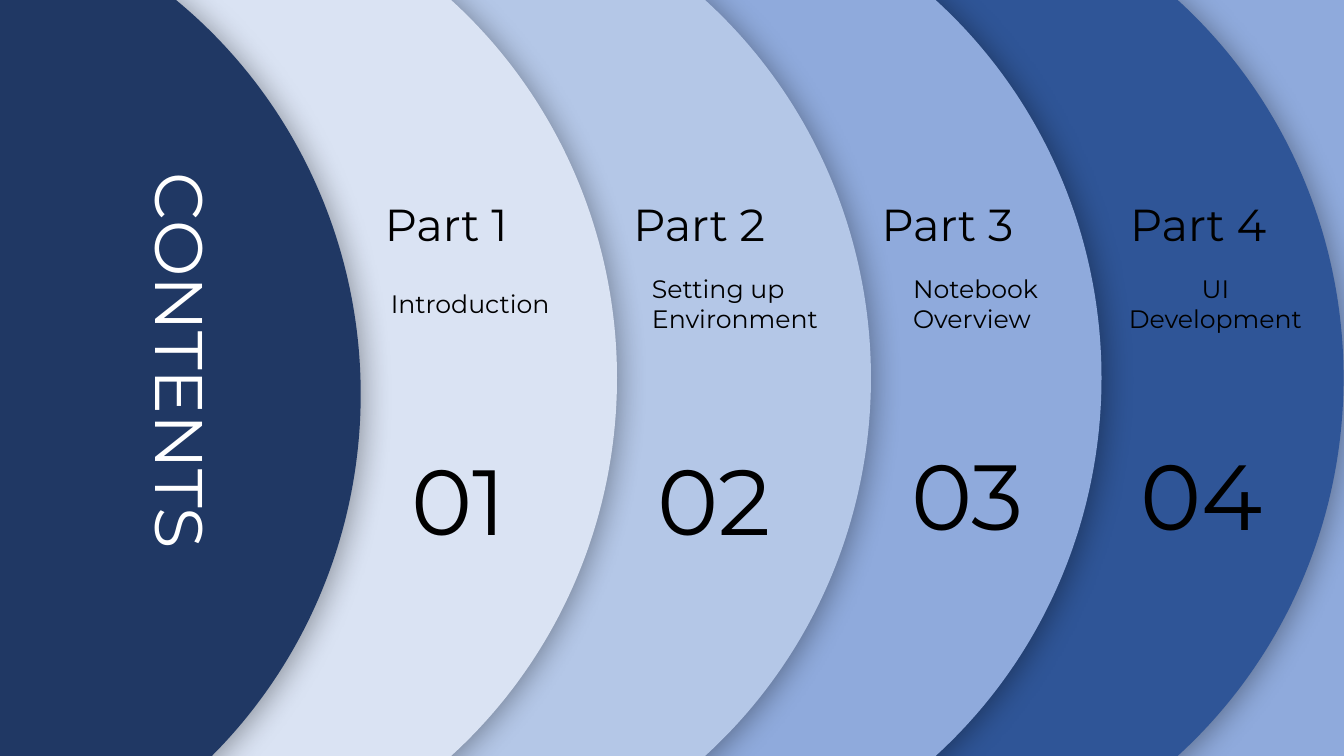
from lxml import etree
from pptx import Presentation
from pptx.dml.color import RGBColor
from pptx.enum.shapes import MSO_SHAPE
from pptx.enum.text import MSO_AUTO_SIZE, PP_ALIGN
from pptx.oxml.ns import qn
from pptx.util import Cm, Pt

COLORS = {
    "background": "8FAADC",
    "navy": "203864",
    "pale": "DAE3F3",
    "light": "B4C7E7",
    "medium": "8FAADC",
    "deep": "2F5597",
    "title": "FFFFFF",
    "text": "000000",
    "shadow": "000000",
}


def add_disc(slide, left, top, color):
    disc = slide.shapes.add_shape(MSO_SHAPE.OVAL, Cm(left), Cm(top), Cm(25.07), Cm(25.55))
    disc.fill.solid()
    disc.fill.fore_color.rgb = RGBColor.from_string(COLORS[color])
    disc.line.fill.background()
    disc.shadow.inherit = False
    effects = disc._element.spPr.find(qn("a:effectLst"))
    shadow = etree.SubElement(effects, qn("a:outerShdw"), blurRad=str(Pt(22)),
                              dist=str(Pt(3)), dir="2700000", algn="tl", rotWithShape="0")
    shade = etree.SubElement(shadow, qn("a:srgbClr"), val=COLORS["shadow"])
    etree.SubElement(shade, qn("a:alpha"), val="36000")


def add_label(slide, left, top, width, height, lines, size, color="text", align=PP_ALIGN.LEFT):
    label = slide.shapes.add_textbox(Cm(left), Cm(top), Cm(width), Cm(height))
    frame = label.text_frame
    frame.word_wrap = True
    frame.auto_size = MSO_AUTO_SIZE.SHAPE_TO_FIT_TEXT
    for index, line in enumerate(lines):
        paragraph = frame.add_paragraph() if index else frame.paragraphs[0]
        paragraph.alignment = align
        run = paragraph.add_run()
        run.text = line
        run.font.name = "Montserrat"
        run.font.size = Pt(size)
        run.font.color.rgb = RGBColor.from_string(COLORS[color])
    return label


presentation = Presentation()
presentation.slide_width = Cm(33.87)
presentation.slide_height = Cm(19.05)
slide = presentation.slides.add_slide(presentation.slide_layouts[6])
slide.background.fill.solid()
slide.background.fill.fore_color.rgb = RGBColor.from_string(COLORS["background"])

for left, top, color in [
    (8.79, -3.25, "deep"),
    (2.69, -3.25, "medium"),
    (-3.12, -3.25, "light"),
    (-9.52, -3.25, "pale"),
    (-15.98, -2.84, "navy"),
]:
    add_disc(slide, left, top, color)

contents = add_label(slide, -1.27, 8.79, 11.68, 2.31, ["CONTENTS"], 48, "title")
contents.rotation = 90

parts = [
    (["Introduction"], 9.6, 7.14, 4.65, PP_ALIGN.LEFT, 10.11, 11.05, 3.15),
    (["Setting up", "Environment"], 16.18, 6.76, 4.85, PP_ALIGN.LEFT, 16.31, 11.05, 3.63),
    (["Notebook", "Overview"], 22.76, 6.76, 3.99, PP_ALIGN.LEFT, 22.71, 10.92, 3.58),
    (["UI", "Development"], 28.09, 6.76, 5.08, PP_ALIGN.CENTER, 28.5, 10.92, 3.89),
]
for index, part in enumerate(parts):
    topic, topic_left, topic_top, topic_width, align, number_left, number_top, number_width = part
    add_label(slide, 9.45 + 6.26 * index, 4.83, 4.62, 1.63, [f"Part {index + 1}"], 32)
    add_label(slide, topic_left, topic_top, topic_width, 1.02 if len(topic) == 1 else 1.8,
              topic, 18, align=align)
    add_label(slide, number_left, number_top, number_width, 3.07, [f"{index + 1:02}"], 66)

presentation.save("out.pptx")
